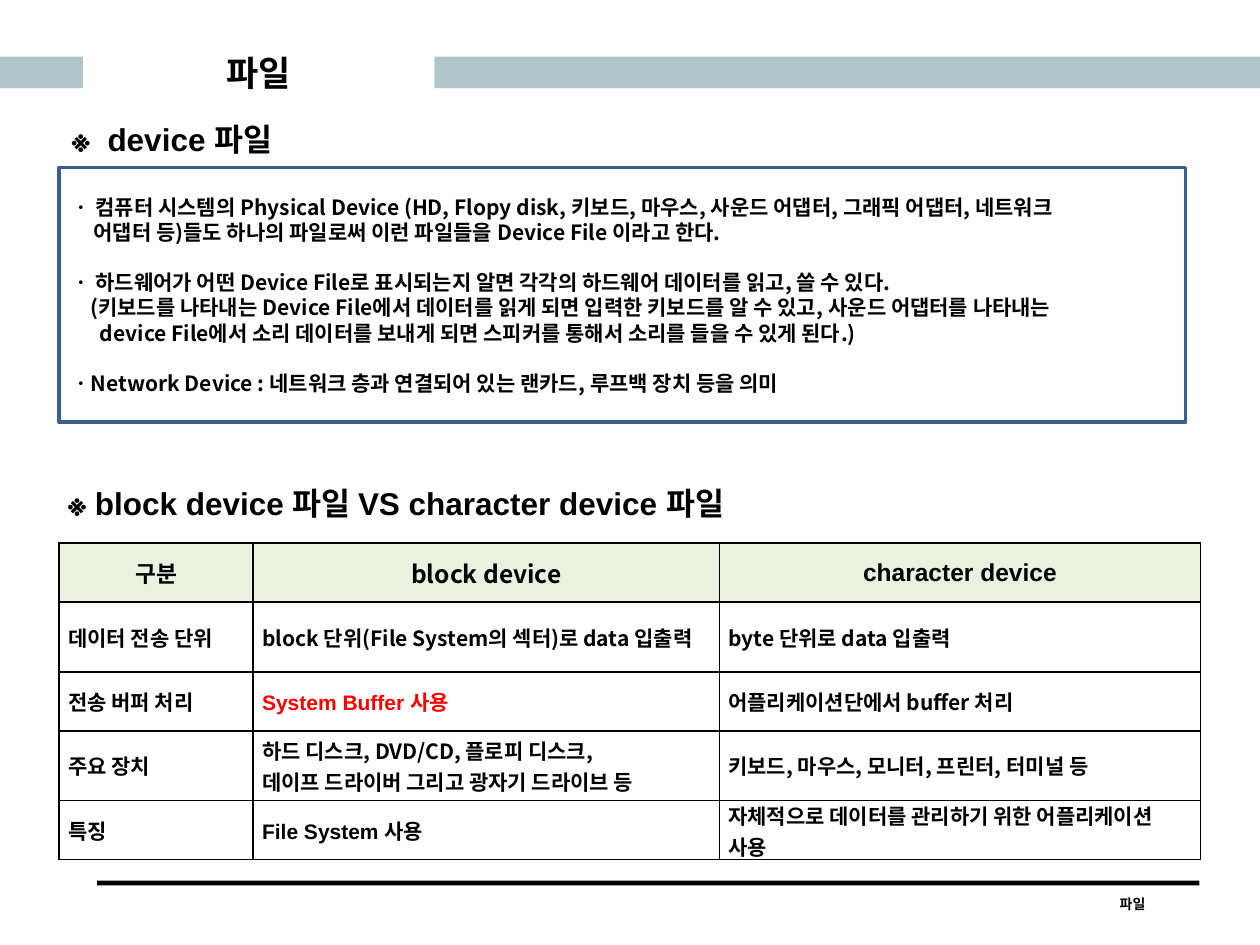
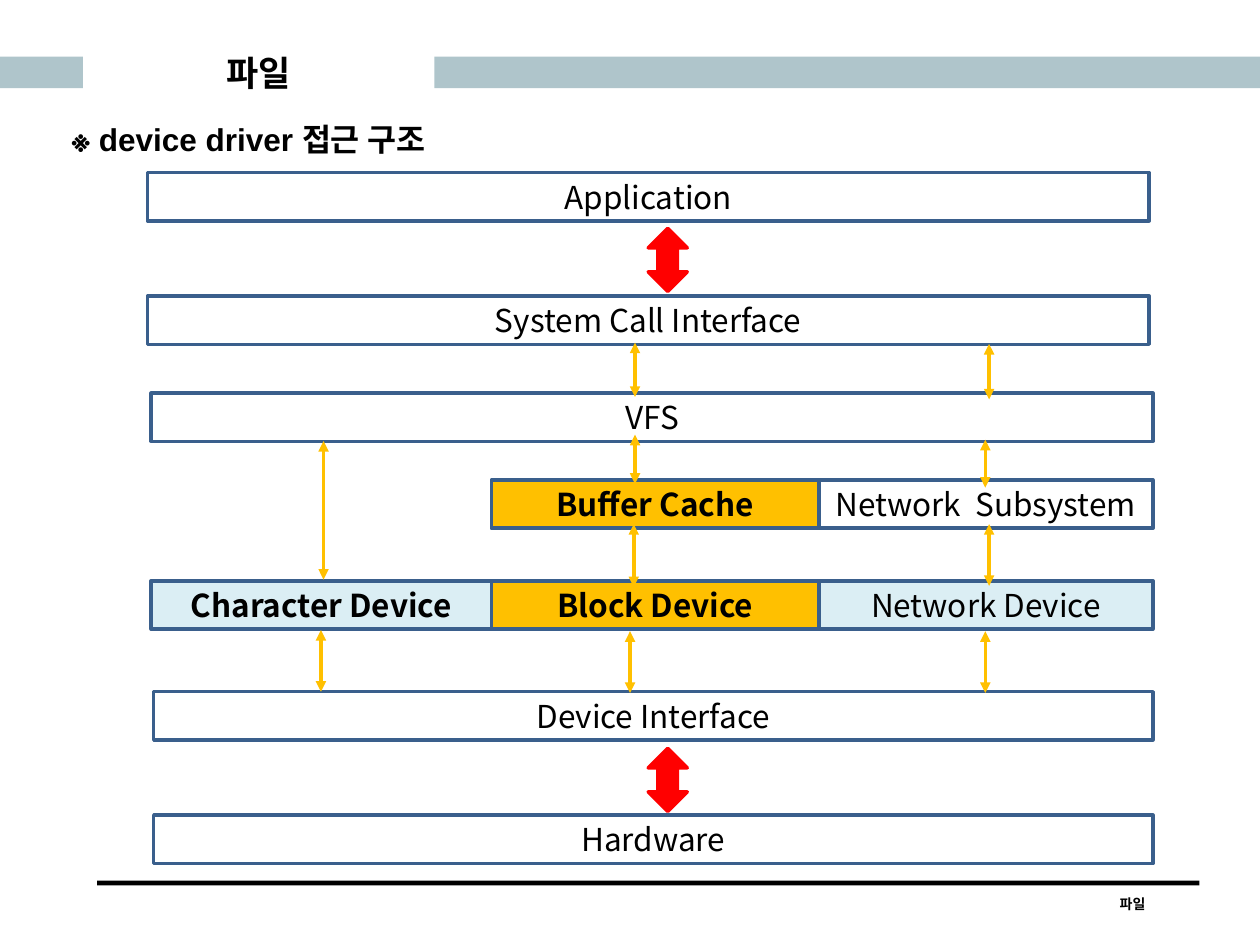
"""Build two slides on device files and the layers of device driver access."""
import dataclasses
import pptx
import pptx.dml.color
import pptx.enum.shapes
import pptx.enum.text
import pptx.oxml.ns
import pptx.util
from lxml import etree

Pt = pptx.util.Pt
RGB = pptx.dml.color.RGBColor.from_string
SHAPE = pptx.enum.shapes.MSO_SHAPE
ALIGN = pptx.enum.text.PP_ALIGN
ANCHOR = pptx.enum.text.MSO_ANCHOR
qn = pptx.oxml.ns.qn


@dataclasses.dataclass(frozen=True)
class Theme:
    latin: str = "Arial"
    korean: str = "Noto Sans CJK KR"
    ink: str = "000000"
    band: str = "AFC5CB"
    outline: str = "3A5F8C"
    header: str = "EBF1DE"
    alert: str = "FF0000"
    amber: str = "FFC000"
    pale: str = "DBEEF4"
    title: int = 20
    heading: int = 18
    column: int = 14
    label: int = 13
    body: int = 12
    footer: int = 8


theme = Theme()


def write(frame, text, size=theme.body, font=theme.latin, color=theme.ink, bold=True,
          align=ALIGN.LEFT, anchor=None, wrap=True, leading=None, layout=()):
    """Fill a text frame, one paragraph per line; layout holds (indent, space before)."""
    frame.word_wrap = wrap
    if anchor is not None:
        frame.vertical_anchor = anchor
    for index, line in enumerate(text.split("\n")):
        para = frame.add_paragraph() if index else frame.paragraphs[0]
        para.alignment = align
        if leading:
            para.line_spacing = Pt(leading)
        if layout:
            indent, gap = layout[index]
            para._p.get_or_add_pPr().set("marL", str(Pt(indent)))
            para.space_before = Pt(gap)
        span = para.add_run()
        span.text = line
        span.font.name = font
        span.font.size = Pt(size)
        span.font.bold = bold
        span.font.color.rgb = RGB(color)
        east = etree.SubElement(span._r.get_or_add_rPr(), qn("a:ea"))
        east.set("typeface", theme.korean)


def draw(page, left, top, width, height, fill=None, line=None, kind=SHAPE.RECTANGLE):
    """Add a flat preset shape and return it."""
    box = page.shapes.add_shape(kind, Pt(left), Pt(top), Pt(width), Pt(height))
    box.shadow.inherit = False
    if fill:
        box.fill.solid()
        box.fill.fore_color.rgb = RGB(fill)
    else:
        box.fill.background()
    if line:
        box.line.color.rgb = RGB(line)
        box.line.width = Pt(2)
    else:
        box.line.fill.background()
    return box


deck = pptx.Presentation()
deck.slide_width, deck.slide_height = Pt(720), Pt(540)

slide_headings = [
    [("※  device 파일", 33.84, 64.8, 139.68),
     ("※ block device 파일 VS character device 파일", 31.68, 272.88, 405.36)],
    [("※ device driver 접근 구조", 33.84, 64.8, 236.88)],
]
pages = []
for headings in slide_headings:
    page = deck.slides.add_slide(deck.slide_layouts[6])
    pages.append(page)
    draw(page, 0, 32.4, 47.4, 18, fill=theme.band)
    draw(page, 248.2, 32.4, 471.8, 18, fill=theme.band)
    draw(page, 55.44, 503.2, 630, 2.8, fill=theme.ink)
    footer = page.shapes.add_textbox(Pt(609.12), Pt(508.32), Pt(76.32), Pt(17.28))
    write(footer.text_frame, "파일", size=theme.footer, align=ALIGN.CENTER)
    title = page.shapes.add_textbox(Pt(54), Pt(25.92), Pt(187.2), Pt(30.96))
    title.text_frame.margin_top = title.text_frame.margin_bottom = Pt(3)
    write(title.text_frame, "파일", size=theme.title, align=ALIGN.CENTER, anchor=ANCHOR.MIDDLE)
    for text, left, top, width in headings:
        heading = page.shapes.add_textbox(Pt(left), Pt(top), Pt(width), Pt(28.8))
        write(heading.text_frame, text, size=theme.heading, wrap=False)

files_page, driver_page = pages

summary = draw(files_page, 33.84, 95.76, 643.68, 145.44, line=theme.outline)
summary_lines = [
    ("ㆍ 컴퓨터 시스템의 Physical Device (HD, Flopy disk, 키보드, 마우스, 사운드 어댑터, 그래픽 어댑터, 네트워크", 0, 0),
    ("어댑터 등)들도 하나의 파일로써 이런 파일들을 Device File 이라고 한다.", 12.6, 0),
    ("ㆍ 하드웨어가 어떤 Device File로 표시되는지 알면 각각의 하드웨어 데이터를 읽고, 쓸 수 있다.", 0, 14.4),
    ("(키보드를 나타내는 Device File에서 데이터를 읽게 되면 입력한 키보드를 알 수 있고, 사운드 어댑터를 나타내는", 10.8, 0),
    ("device File에서 소리 데이터를 보내게 되면 스피커를 통해서 소리를 들을 수 있게 된다.)", 16.2, 0),
    ("ㆍNetwork Device : 네트워크 층과 연결되어 있는 랜카드, 루프백 장치 등을 의미", 0, 14.4),
]
write(summary.text_frame, "\n".join(line[0] for line in summary_lines), font=theme.korean,
      anchor=ANCHOR.MIDDLE, leading=14.4, layout=[line[1:] for line in summary_lines])

latin, korean = theme.latin, theme.korean
comparison = [
    [("구분", latin), ("block device", korean), ("character device", latin)],
    [("데이터 전송 단위", latin), ("block 단위(File System의 섹터)로 data 입출력", korean),
     ("byte 단위로 data 입출력", korean)],
    [("전송 버퍼 처리", latin), ("System Buffer 사용", latin),
     ("어플리케이션단에서 buffer 처리", korean)],
    [("주요 장치", latin),
     ("하드 디스크, DVD/CD, 플로피 디스크,\n데이프 드라이버 그리고 광자기 드라이브 등", korean),
     ("키보드, 마우스, 모니터, 프린터, 터미널 등", korean)],
    [("특징", latin), ("File System 사용", latin),
     ("자체적으로 데이터를 관리하기 위한 어플리케이션 사용", korean)],
]
table = files_page.shapes.add_table(5, 3, Pt(33.84), Pt(310.32), Pt(652.32), Pt(181.2)).table
table.first_row = table.horz_banding = False
for column, width in zip(table.columns, (110.88, 266.4, 275.04)):
    column.width = Pt(width)
for row_index, row in enumerate(comparison):
    table.rows[row_index].height = Pt(39.8 if row_index in (1, 3) else 33.8)
    for column_index, (text, font) in enumerate(row):
        cell = table.cell(row_index, column_index)
        cell.margin_left = cell.margin_right = Pt(5.1)
        cell.margin_top = cell.margin_bottom = 0
        cell.vertical_anchor = ANCHOR.MIDDLE
        is_header = row_index == 0
        size = theme.body
        if is_header:
            size = theme.column if column_index else theme.label
        write(cell.text_frame, text, size=size, font=font,
              color=theme.alert if text.startswith("System Buffer") else theme.ink,
              align=ALIGN.CENTER if is_header else ALIGN.LEFT)
        properties = cell._tc.get_or_add_tcPr()
        for side in ("lnL", "lnR", "lnT", "lnB"):
            border = etree.SubElement(properties, qn("a:" + side), w=str(Pt(1)))
            paint = etree.SubElement(border, qn("a:solidFill"))
            etree.SubElement(paint, qn("a:srgbClr"), val=theme.ink)
        if is_header:
            cell.fill.solid()
            cell.fill.fore_color.rgb = RGB(theme.header)
        else:
            cell.fill.background()

layers = [
    ("Application", 84.24, 98.64, 572.4, None, False),
    ("System Call Interface", 84.24, 169.2, 572.4, None, False),
    ("VFS", 86.4, 224.64, 572.4, None, False),
    ("Buffer Cache", 280.8, 274.32, 187.2, theme.amber, True),
    ("Network  Subsystem", 468, 274.32, 190.8, None, False),
    ("Character Device", 86.4, 331.92, 194.4, theme.pale, True),
    ("Block Device", 280.8, 331.92, 187.2, theme.amber, True),
    ("Network Device", 468, 331.92, 190.8, theme.pale, False),
    ("Device Interface", 87.84, 395.28, 570.96, None, False),
    ("Hardware", 87.84, 465.84, 570.96, None, False),
]
for text, left, top, width, fill, bold in layers:
    layer = draw(driver_page, left, top, width, 27.6, fill=fill, line=theme.outline)
    write(layer.text_frame, text, size=theme.heading, font=theme.korean, bold=bold,
          align=ALIGN.CENTER, anchor=ANCHOR.MIDDLE)

for top in (130.5, 427.68):
    draw(driver_page, 370.4, top, 22.3, 36, fill=theme.alert, line=theme.alert,
         kind=SHAPE.UP_DOWN_ARROW)

links = [
    (362.88, 195.84, 226.8), (565.2, 196.56, 228.24),
    (184.9, 252, 331.2), (362.88, 248.4, 276.48), (563.04, 251.28, 278.64),
    (362.16, 299.52, 335.52), (565.2, 299.52, 334.8),
    (183.4, 360, 395.28), (360, 360.72, 396), (563.04, 360.72, 396),
]
for x, top, bottom in links:
    link = driver_page.shapes.add_connector(
        pptx.enum.shapes.MSO_CONNECTOR.STRAIGHT, Pt(x), Pt(top), Pt(x), Pt(bottom))
    link.line.color.rgb = RGB(theme.amber)
    link.line.width = Pt(2)
    stroke = link.line._get_or_add_ln()
    for end in ("headEnd", "tailEnd"):
        etree.SubElement(stroke, qn("a:" + end), type="triangle")
    etree.SubElement(link._element.spPr, qn("a:effectLst"))

deck.save("out.pptx")
